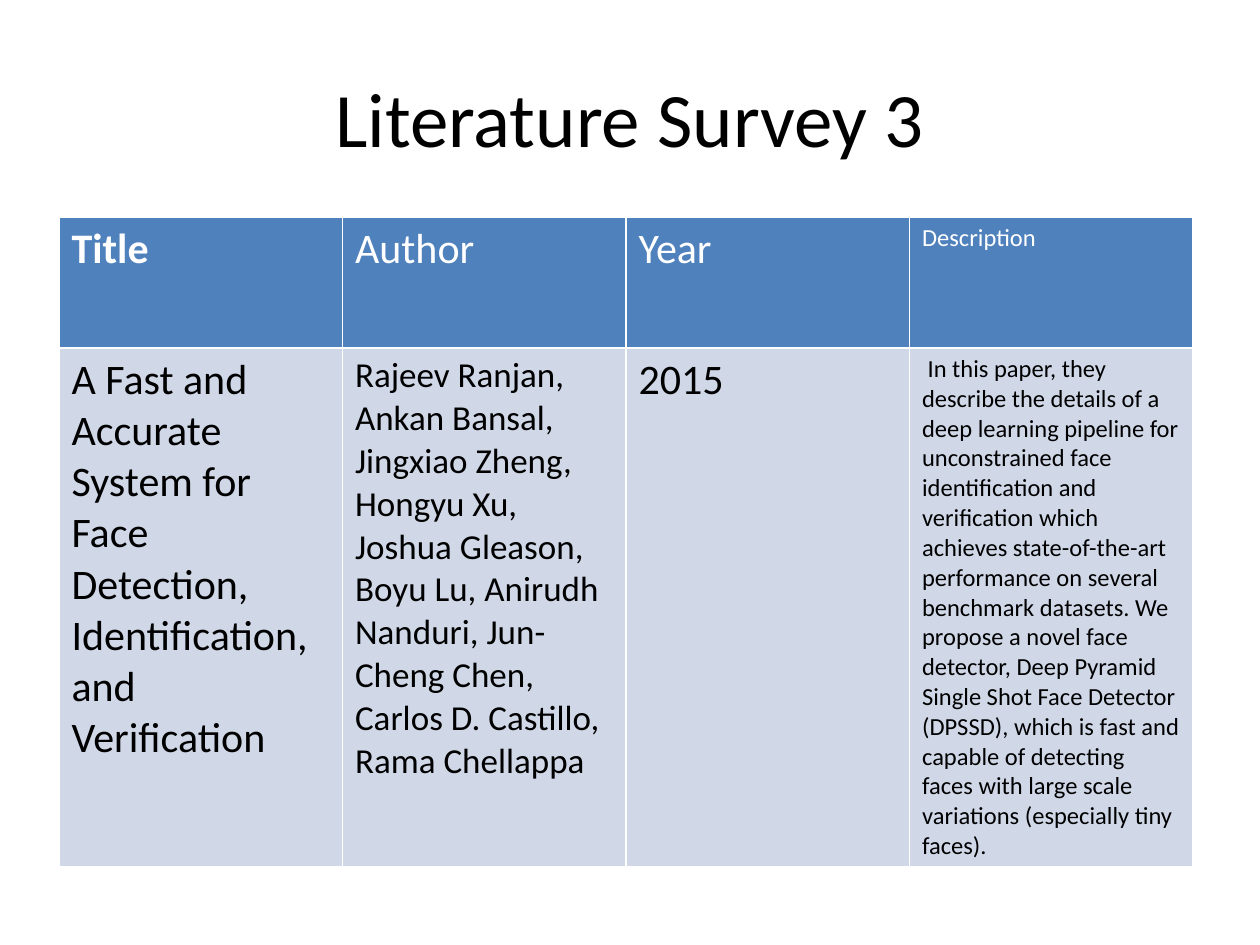
from dataclasses import dataclass

from lxml.etree import SubElement
from pptx import Presentation
from pptx.dml.color import RGBColor as Color
from pptx.enum.text import MSO_ANCHOR as Anchor, PP_ALIGN as Align
from pptx.oxml.ns import qn
from pptx.util import Emu, Pt


@dataclass(frozen=True)
class Theme:
    font: str = "Calibri"
    ink: str = "000000"
    paper: str = "FFFFFF"
    header: str = "4F81BD"
    body: str = "D0D8E8"
    title_size: int = 44
    large: int = 24
    medium: int = 20
    small: int = 14
    border: float = 1


THEME = Theme()
HEADINGS = ["Title", "Author", "Year", "Description"]
ENTRY = [
    "A Fast and Accurate System for Face Detection, Identification, and Verification",
    "Rajeev Ranjan, Ankan Bansal, Jingxiao Zheng, Hongyu Xu, Joshua Gleason, "
    "Boyu Lu, Anirudh Nanduri, Jun-Cheng Chen, Carlos D. Castillo, Rama Chellappa",
    "2015",
    " In this paper, they describe the details of a deep learning pipeline for "
    "unconstrained face identification and verification which achieves "
    "state-of-the-art performance on several benchmark datasets. We propose a "
    "novel face detector, Deep Pyramid Single Shot Face Detector (DPSSD), which "
    "is fast and capable of detecting faces with large scale variations "
    "(especially tiny faces).",
]
HEADING_SIZES = [THEME.large, THEME.large, THEME.large, THEME.small]
ENTRY_SIZES = [THEME.large, THEME.medium, THEME.large, THEME.small]


def px(length):
    return Emu(round(length * 914400 / 126))


def write(frame, text, *, size, color, bold=False, align=Align.LEFT):
    para = frame.paragraphs[0]
    para.alignment = align
    span = para.add_run()
    span.text = text
    span.font.name = THEME.font
    span.font.size = Pt(size)
    span.font.bold = bold
    span.font.color.rgb = Color.from_string(color)


class SlideBuilder:
    def __init__(self, page, theme):
        self.page = page
        self.theme = theme

    def title(self, text, left, top, width, height):
        box = self.page.shapes.add_textbox(px(left), px(top), px(width), px(height))
        box.text_frame.word_wrap = True
        box.text_frame.vertical_anchor = Anchor.MIDDLE
        write(box.text_frame, text, size=self.theme.title_size,
              color=self.theme.ink, align=Align.CENTER)

    def table(self, left, top, column_width, row_heights):
        columns = len(HEADINGS)
        table = self.page.shapes.add_table(
            len(row_heights), columns, px(left), px(top),
            px(column_width * columns), px(sum(row_heights))).table
        table.horz_banding = False
        for column in table.columns:
            column.width = px(column_width)
        for row, height in zip(table.rows, row_heights):
            row.height = px(height)
        return table

    def row(self, row, texts, sizes, *, fill, color, bold_first=False):
        for index, (cell, text, size) in enumerate(zip(row.cells, texts, sizes)):
            self.borders(cell)
            cell.fill.solid()
            cell.fill.fore_color.rgb = Color.from_string(fill)
            write(cell.text_frame, text, size=size, color=color,
                  bold=bold_first and index == 0)

    def borders(self, cell):
        properties = cell._tc.get_or_add_tcPr()
        for side in ("a:lnL", "a:lnR", "a:lnT", "a:lnB"):
            line = SubElement(properties, qn(side), w=str(Pt(self.theme.border)))
            paint = SubElement(line, qn("a:solidFill"))
            SubElement(paint, qn("a:srgbClr"), val=self.theme.paper)


def main():
    deck = Presentation()
    deck.slide_width, deck.slide_height = px(1260), px(945)
    page = deck.slides.add_slide(deck.slide_layouts[6])
    builder = SlideBuilder(page, THEME)
    builder.title("Literature Survey 3", 63, 38, 1134, 157)
    survey = builder.table(59, 217, 1134 / len(HEADINGS), [131, 519])
    builder.row(survey.rows[0], HEADINGS, HEADING_SIZES,
                fill=THEME.header, color=THEME.paper, bold_first=True)
    builder.row(survey.rows[1], ENTRY, ENTRY_SIZES,
                fill=THEME.body, color=THEME.ink)
    deck.save("out.pptx")


if __name__ == "__main__":
    main()
